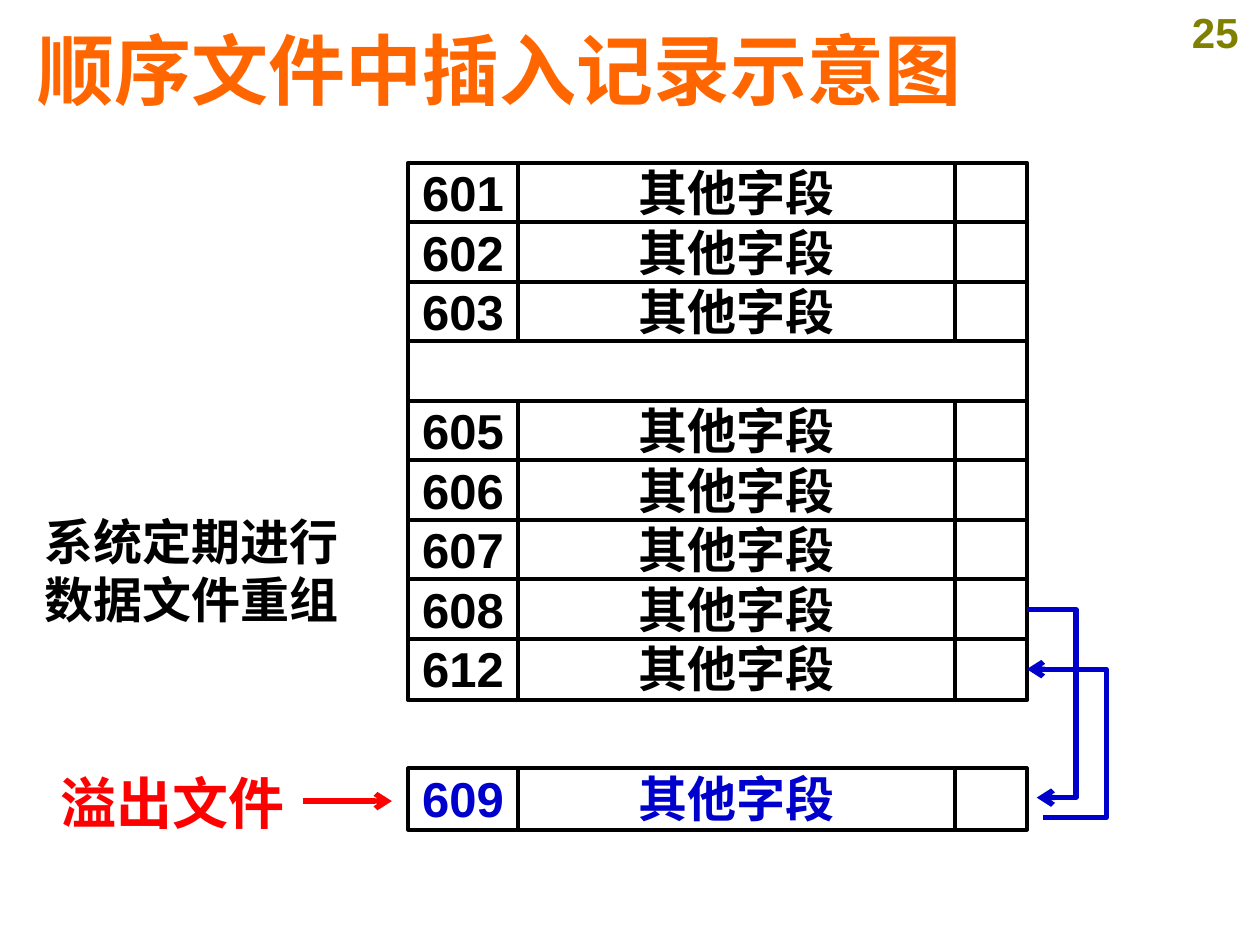
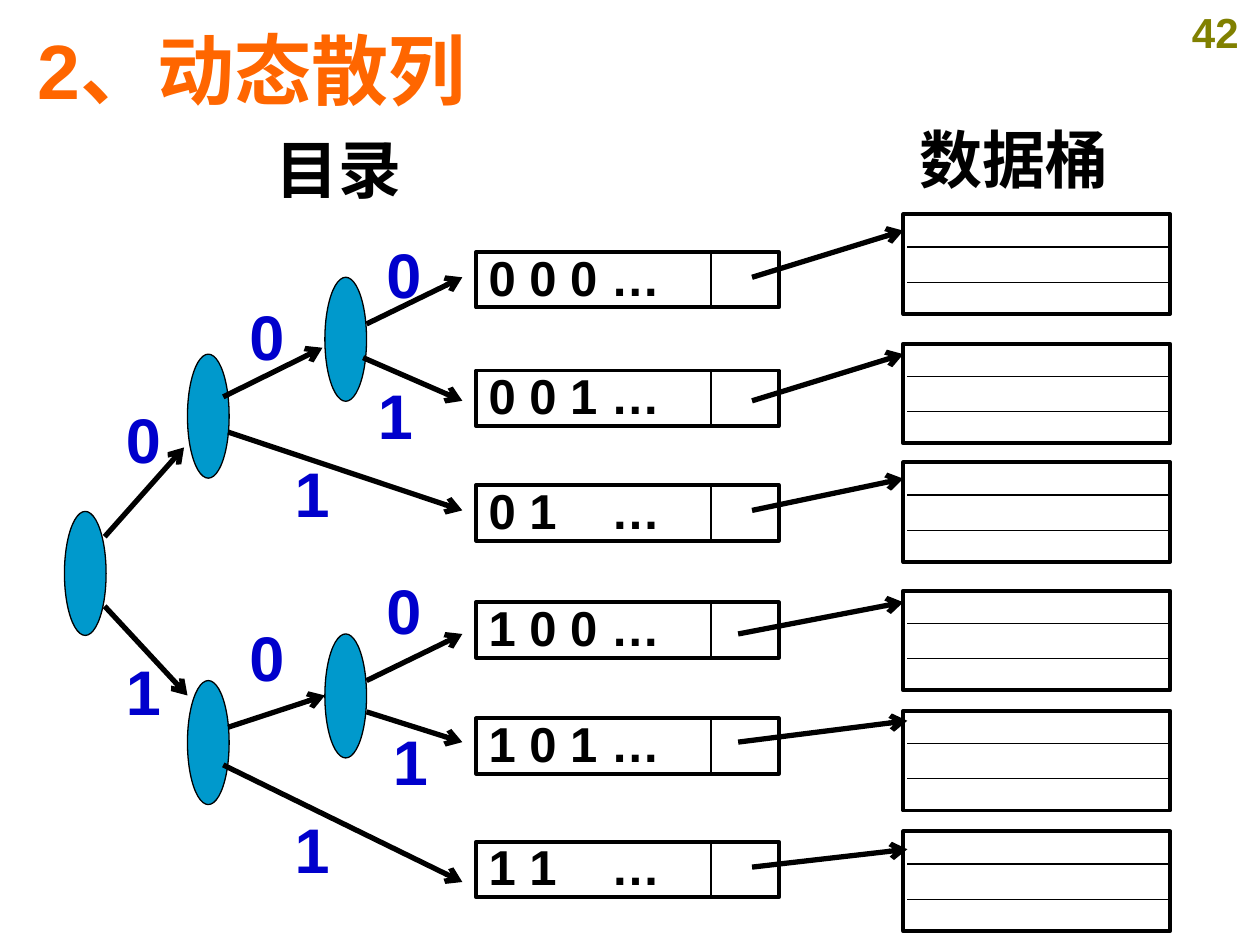
"""Build two slides on sequential files and dynamic hashing."""
from dataclasses import dataclass
from typing import NamedTuple, Optional

from lxml import etree
from pptx import Presentation
from pptx import util as u
from pptx.dml import color
from pptx.enum import shapes, text
from pptx.oxml import ns

FONT = "Arial"
HUES = {"title": "FF6600", "page": "808000", "ink": "000000", "paper": "FFFFFF",
        "blue": "0000CC", "red": "FF0000", "node": "0099CC"}
LEFT, MID = text.PP_ALIGN.LEFT, text.PP_ALIGN.CENTER
RECT, OVAL = shapes.MSO_SHAPE.RECTANGLE, shapes.MSO_SHAPE.OVAL


class Box(NamedTuple):
    """Place and size in centimetres."""
    x: float
    y: float
    w: float
    h: float

    def sizes(self) -> list:
        """Return the four lengths for python-pptx."""
        return [u.Cm(n) for n in self]


class Point(NamedTuple):
    """A spot on the slide in centimetres."""
    x: float
    y: float


@dataclass
class Style:
    """Look of a text."""
    size: float = 28
    hue: str = "ink"
    align: text.PP_ALIGN = MID
    inset: bool = False
    wrap: bool = True
    space: Optional[float] = None
    tab: Optional[float] = None


@dataclass
class Edge:
    """Arrow of the hash tree with its bit."""
    start: Point
    end: Point
    bit: str
    spot: Point


@dataclass
class Entry:
    """Directory entry, its bucket and the arrow between them."""
    code: str
    top: float
    start: Point
    end: Point
    bucket: float


CELL = Style()
CODE = Style(align=LEFT, inset=True, space=0.8, tab=2.47)
BIT = Style(36, "blue", LEFT, True, False)
HEAD = Style(36, "ink", LEFT, True)
FIELD = "其他字段"
ROW = 1.24
COLS = [(8.23, 2.21), (10.44, 8.81), (19.25, 1.45)]
KEYS = ["601", "602", "603", None, "605", "606", "607", "608", "612"]
LINKS = [
    [Point(20.7, 12.29), Point(21.69, 12.29), Point(21.69, 16.08), Point(20.9, 16.08)],
    [Point(21.03, 16.48), Point(22.3, 16.48), Point(22.3, 13.49), Point(20.7, 13.49)],
]
NODES = [Point(6.55, 5.59), Point(3.78, 7.14), Point(6.55, 12.78),
         Point(1.3, 10.31), Point(3.78, 13.72)]
EDGES = [
    Edge(Point(7.39, 6.53), Point(9.32, 5.59), "0", Point(7.54, 4.62)),
    Edge(Point(7.32, 7.21), Point(9.32, 8.08), "1", Point(7.37, 7.47)),
    Edge(Point(4.5, 8), Point(6.5, 7.01), "0", Point(4.78, 5.87)),
    Edge(Point(4.6, 8.71), Point(9.32, 10.29), "1", Point(5.69, 9.04)),
    Edge(Point(7.39, 13.72), Point(9.32, 12.78), "0", Point(7.54, 11.4)),
    Edge(Point(7.39, 14.35), Point(9.32, 14.96), "1", Point(7.67, 14.43)),
    Edge(Point(4.6, 14.66), Point(6.55, 14.02), "0", Point(4.78, 12.34)),
    Edge(Point(4.5, 15.42), Point(9.32, 17.78), "1", Point(5.69, 16.21)),
    Edge(Point(2.11, 10.82), Point(3.71, 9.02), "0", Point(2.29, 7.95)),
    Edge(Point(2.11, 12.22), Point(3.78, 14.02), "1", Point(2.29, 13.03)),
]
ENTRIES = [
    Entry("0 0 0 …", 5.08, Point(15.16, 5.59), Point(18.21, 4.65), 4.32),
    Entry("0 0 1 …", 7.47, Point(15.16, 8.08), Point(18.21, 7.14), 6.93),
    Entry("0 1\t…", 9.78, Point(15.16, 10.29), Point(18.21, 9.65), 9.32),
    Entry("1 0 0 …", 12.14, Point(14.88, 12.78), Point(18.21, 12.14), 11.91),
    Entry("1 0 1 …", 14.48, Point(14.88, 14.96), Point(18.29, 14.53), 14.33),
    Entry("1 1\t…", 16.97, Point(15.16, 17.48), Point(18.29, 17.12), 16.76),
]


def paint(hue: str) -> color.RGBColor:
    """Return a named colour."""
    return color.RGBColor.from_string(HUES[hue])


def write(shape, words: str, style: Style, anchor=text.MSO_ANCHOR.TOP) -> None:
    """Put styled text in a shape."""
    frame = shape.text_frame
    frame.text = words
    frame.word_wrap = style.wrap
    frame.auto_size = text.MSO_AUTO_SIZE.NONE
    frame.vertical_anchor = anchor
    side, edge = (0.25, 0.13) if style.inset else (0, 0)
    frame.margin_left = frame.margin_right = u.Cm(side)
    frame.margin_top = frame.margin_bottom = u.Cm(edge)
    for para in frame.paragraphs:
        props = para._p.get_or_add_pPr()
        if style.tab:
            tabs = etree.SubElement(props, ns.qn("a:tabLst"))
            etree.SubElement(tabs, ns.qn("a:tab"), pos=str(u.Cm(style.tab)), algn="l")
        para.alignment = style.align
        if style.space:
            para.line_spacing = style.space
        font = para.font
        font.size, font.bold, font.name = u.Pt(style.size), True, FONT
        font.color.rgb = paint(style.hue)
        etree.SubElement(props.find(ns.qn("a:defRPr")), ns.qn("a:ea"), typeface=FONT)


def label(slide, box: Box, words: str, style: Style, anchor=text.MSO_ANCHOR.TOP) -> None:
    """Add a text box."""
    write(slide.shapes.add_textbox(*box.sizes()), words, style, anchor)


def block(slide, box: Box, words: str = "", style: Style = CELL, kind=RECT,
          fill: Optional[str] = "paper", width: float = 2.25) -> None:
    """Add a filled, outlined shape, with text if there is any."""
    shape = slide.shapes.add_shape(kind, *box.sizes())
    shape.shadow.inherit = False
    if fill:
        shape.fill.solid()
        shape.fill.fore_color.rgb = paint(fill)
    else:
        shape.fill.background()
    if width:
        shape.line.color.rgb = paint("ink")
        shape.line.width = u.Pt(width)
    else:
        shape.line.fill.background()
    if words:
        write(shape, words, style)


def stroke(shape, hue: str, width: float, arrow: bool) -> None:
    """Style a line and give it an arrowhead if asked."""
    shape.line.color.rgb = paint(hue)
    shape.line.width = u.Pt(width)
    if arrow:
        etree.SubElement(shape.line._get_or_add_ln(), ns.qn("a:tailEnd"), type="arrow")


def line(slide, start: Point, end: Point, hue: str = "ink", width: float = 3,
         arrow: bool = True) -> None:
    """Add a straight connector."""
    ends = [u.Cm(n) for n in (*start, *end)]
    wire = slide.shapes.add_connector(shapes.MSO_CONNECTOR.STRAIGHT, *ends)
    stroke(wire, hue, width, arrow)
    etree.SubElement(wire._element.spPr, ns.qn("a:effectLst"))


def route(slide, points: list[Point]) -> None:
    """Add a bent blue arrow through the points."""
    spots = [(u.Cm(p.x), u.Cm(p.y)) for p in points]
    build = slide.shapes.build_freeform(*spots[0])
    build.add_line_segments(spots[1:], close=False)
    path = build.convert_to_shape()
    path.shadow.inherit = False
    path.fill.background()
    stroke(path, "blue", 3, True)


def start(deck, title: str, page: str):
    """Add a slide with its title and page number."""
    slide = deck.slides.add_slide(deck.slide_layouts[5])
    head = slide.shapes.title
    head.left, head.top, head.width, head.height = Box(0.51, 0.41, 24.05, 1.93).sizes()
    write(head, title, Style(44, "title", LEFT, True), text.MSO_ANCHOR.MIDDLE)
    label(slide, Box(23.6, 0, 1.8, 1.27), page, Style(24, "page", MID, True))
    return slide


def record(slide, top: float, key: str, style: Style) -> None:
    """Draw one record: key, other fields and pointer."""
    for (left, width), words in zip(COLS, (key, FIELD, "")):
        block(slide, Box(left, top, width, ROW), words, style)


def draw_file(deck) -> None:
    """Draw the sequential file with its overflow file."""
    slide = start(deck, "顺序文件中插入记录示意图", "25")
    for i, key in enumerate(KEYS):
        top = 3.28 + 1.2 * i
        if key:
            record(slide, top, key, CELL)
        else:
            block(slide, Box(8.23, top, 12.47, ROW))
    record(slide, 15.49, "609", Style(hue="blue"))
    block(slide, Box(1.09, 15.49, 4.8, ROW), "溢出文件", Style(32, "red"), width=0)
    line(slide, Point(6.1, 16.15), Point(7.9, 16.15), "red")
    for points in LINKS:
        route(slide, points)
    label(slide, Box(0.89, 10.31, 5.94, 2.36), "系统定期进行\n数据文件重组",
          Style(wrap=False), text.MSO_ANCHOR.MIDDLE)


def draw_hash(deck) -> None:
    """Draw the hash tree, the directory and the buckets."""
    slide = start(deck, "2、动态散列", "42")
    label(slide, Box(5.31, 2.51, 3.4, 1.78), "目录", HEAD)
    label(slide, Box(18.29, 2.31, 4.39, 1.78), "数据桶", HEAD)
    for node in NODES:
        block(slide, Box(*node, 0.84, 2.5), kind=OVAL, fill="node", width=0.75)
    for edge in EDGES:
        line(slide, edge.start, edge.end)
        label(slide, Box(*edge.spot, 1.22, 1.78), edge.bit, BIT)
    for entry in ENTRIES:
        block(slide, Box(9.6, entry.top, 6.1, 1.12), entry.code, CODE, fill=None)
        line(slide, Point(14.33, entry.top), Point(14.33, entry.top + 1.12),
             width=1, arrow=False)
        block(slide, Box(18.21, entry.bucket, 5.38, 2.01), fill=None)
        for drop in (0.66, 1.37):
            level = entry.bucket + drop
            line(slide, Point(18.29, level), Point(23.57, level), width=0.75, arrow=False)
        line(slide, entry.start, entry.end)


def main() -> None:
    """Build and save the deck."""
    deck = Presentation()
    deck.slide_width, deck.slide_height = u.Cm(25.4), u.Cm(19.05)
    draw_file(deck)
    draw_hash(deck)
    deck.save("out.pptx")


if __name__ == "__main__":
    main()
